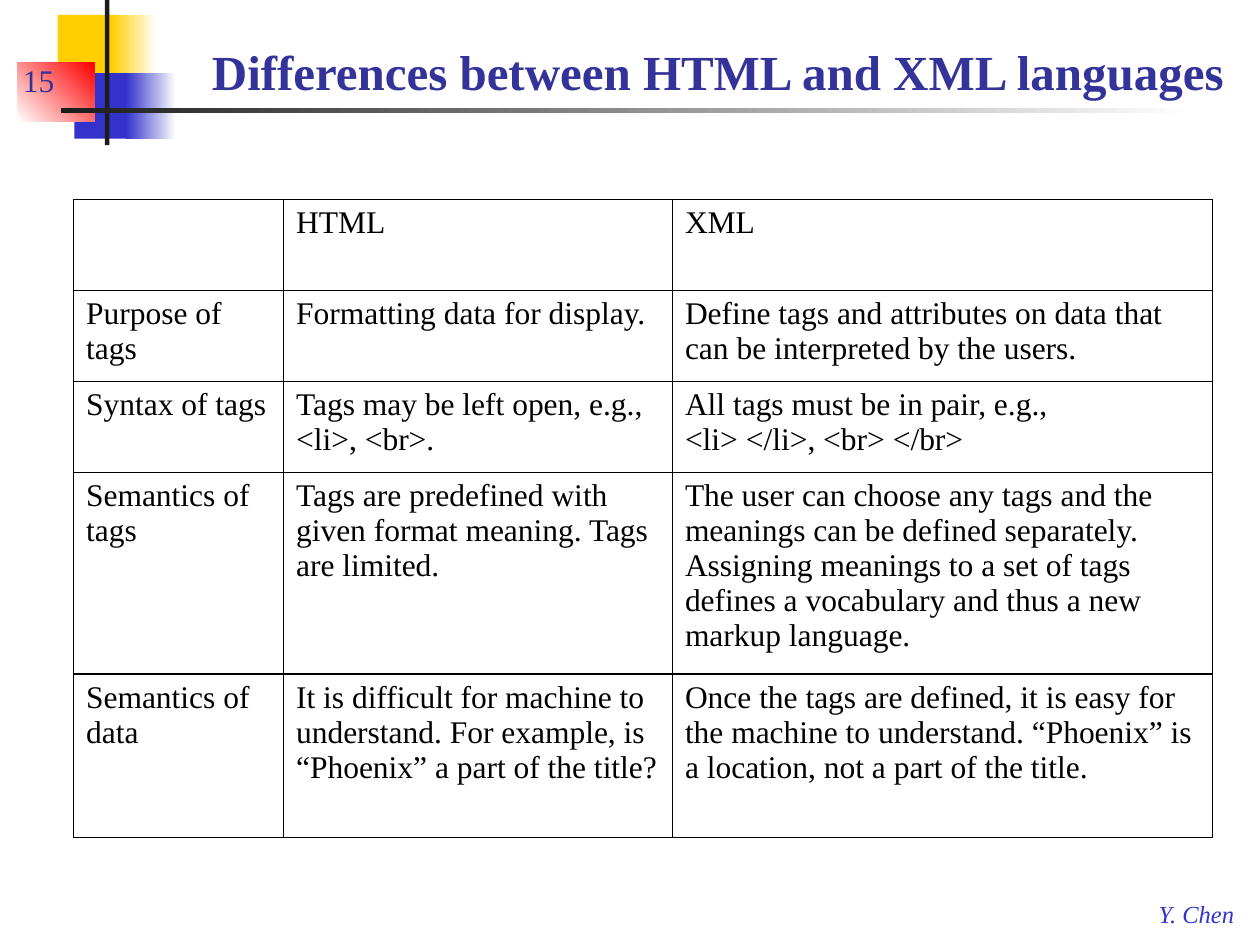
import pptx
import pptx.dml.color
import pptx.enum.shapes
import pptx.enum.text
import pptx.oxml
import pptx.oxml.ns
import pptx.util

Pt = pptx.util.Pt
MSO_ANCHOR = pptx.enum.text.MSO_ANCHOR
THEME = {
    "font": "Times New Roman",
    "yellow": "FFCF01", "blue": "3333CC", "red": "FF0000", "dark": "1C1C1C",
    "white": "FFFFFF", "title": "333399", "text": "000000",
    "title_size": 28, "body_size": 18, "footer_size": 14,
}


def rgb(name):
    return pptx.dml.color.RGBColor.from_string(THEME[name])


def style(tf, size, color, bold=False, italic=False):
    for p in tf.paragraphs:
        for r in p.runs:
            r.font.name = THEME["font"]
            r.font.size = Pt(THEME[size])
            r.font.color.rgb = rgb(color)
            r.font.bold = bold
            r.font.italic = italic


prs = pptx.Presentation()
prs.slide_width, prs.slide_height = Pt(720), Pt(540)
s = prs.slides.add_slide(prs.slide_layouts[6])

decorations = [
    (33, 8.5, 34.5, 37.5, "yellow", None, 0),
    (63.5, 8.5, 26, 37.5, "yellow", "white", 0),
    (42.5, 41.75, 33, 37.5, "blue", None, 0),
    (72, 41.75, 28.5, 37.5, "blue", "white", 0),
    (10, 36, 44, 33.5, "white", "red", 45),
    (60, 0, 2.5, 83, "dark", None, 0),
    (35, 62, 648, 2.5, "dark", "white", 0),
]
for x, y, w, h, start, end, angle in decorations:
    sp = s.shapes.add_shape(pptx.enum.shapes.MSO_SHAPE.RECTANGLE, Pt(x), Pt(y), Pt(w), Pt(h))
    sp.shadow.inherit = False
    sp.line.fill.background()
    if end:
        sp.fill.gradient()
        sp.fill.gradient_angle = angle
        for stop, name, position in zip(sp.fill.gradient_stops, (start, end), (0, 1)):
            stop.color.rgb = rgb(name)
            stop.position = position
    else:
        sp.fill.solid()
        sp.fill.fore_color.rgb = rgb(start)

labels = [
    ("Y. Chen", 655, 510, 59, 24, "footer_size", "blue", False, True, False, MSO_ANCHOR.TOP),
    ("15", 6, 24, 150, 36, "body_size", "title", False, False, True, MSO_ANCHOR.BOTTOM),
    ("Differences between HTML and XML languages", 114, 12, 600, 49,
     "title_size", "title", True, False, True, MSO_ANCHOR.BOTTOM),
]
for text, x, y, w, h, size, color, bold, italic, wrap, anchor in labels:
    tf = s.shapes.add_textbox(Pt(x), Pt(y), Pt(w), Pt(h)).text_frame
    tf.text = text
    tf.word_wrap = wrap
    tf.vertical_anchor = anchor
    style(tf, size, color, bold, italic)

rows = [
    ("", "HTML", "XML"),
    ("Purpose of tags", "Formatting data for display.",
     "Define tags and attributes on data that can be interpreted by the users."),
    ("Syntax of tags", "Tags may be left open, e.g., <li>, <br>.",
     "All tags must be in pair, e.g., \v<li> </li>, <br> </br>"),
    ("Semantics of tags",
     "Tags are predefined with given format meaning. Tags are limited.",
     "The user can choose any tags and the meanings can be defined separately. "
     "Assigning meanings to a set of tags defines a vocabulary and thus a new markup language."),
    ("Semantics of data",
     "It is difficult for machine to understand. For example, is “Phoenix” a part of the title?",
     "Once the tags are defined, it is easy for the machine to understand. "
     "“Phoenix” is a location, not a part of the title."),
]
widths = [120, 222.25, 308.75]
heights = [52, 52, 52, 115, 93.5]
table = s.shapes.add_table(len(rows), len(widths), Pt(42), Pt(114),
                           Pt(sum(widths)), Pt(sum(heights))).table
table.first_row = False
table.horz_banding = False
for column, width in zip(table.columns, widths):
    column.width = Pt(width)
for row, height, texts in zip(table.rows, heights, rows):
    row.height = Pt(height)
    for cell, text in zip(row.cells, texts):
        cell.text_frame.text = text
        style(cell.text_frame, "body_size", "text")
        tcPr = cell._tc.get_or_add_tcPr()
        for side in ("lnL", "lnR", "lnT", "lnB"):
            tcPr.append(pptx.oxml.parse_xml(
                f'<a:{side} {pptx.oxml.ns.nsdecls("a")} w="{Pt(1)}"><a:solidFill>'
                f'<a:srgbClr val="{THEME["text"]}"/></a:solidFill></a:{side}>'))
        cell.fill.background()

prs.save("out.pptx")
